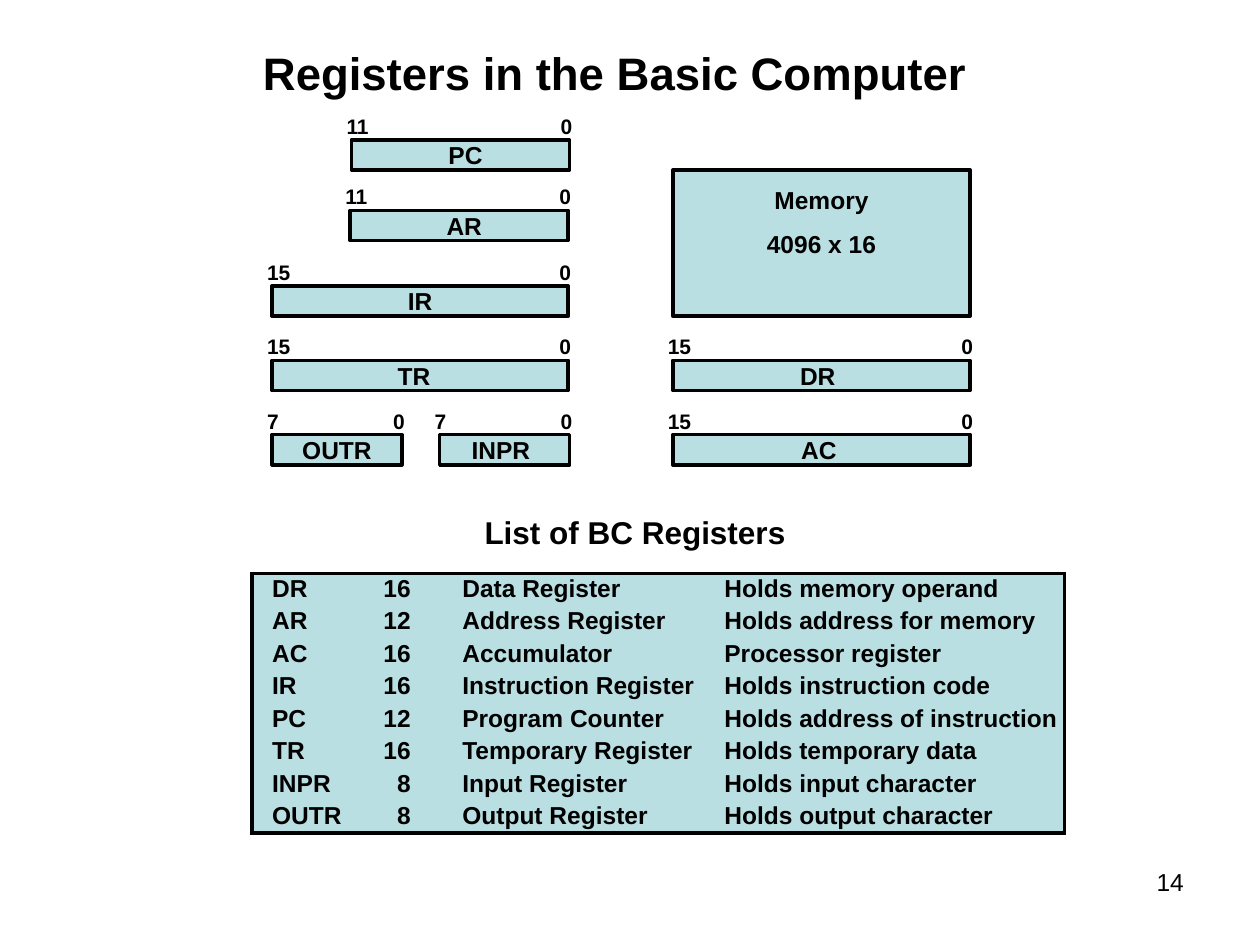
"""Build the slide on the registers of the Basic Computer."""
from lxml import etree
from pptx import Presentation
from pptx.dml.color import RGBColor
from pptx.enum.shapes import MSO_SHAPE
from pptx.enum.text import MSO_ANCHOR, PP_ALIGN
from pptx.oxml.ns import qn
from pptx.util import Inches, Pt

RECT = MSO_SHAPE.RECTANGLE
TOP, MIDDLE = MSO_ANCHOR.TOP, MSO_ANCHOR.MIDDLE
LEFT, CENTER, RIGHT = PP_ALIGN.LEFT, PP_ALIGN.CENTER, PP_ALIGN.RIGHT

COLORS = {"ink": "000000", "box": "BADFE2"}
FONT = "Arial"
TITLE = "Registers in the Basic Computer"
LIST_HEADING = "List of BC Registers"
PAGE = "14"
MEMORY = ["Memory", "4096 x 16"]

# name, high bit, left, row, width, shift of the name from the middle
REGISTERS = [
    ("PC", 11, 2.79, 0, 1.73, 0.04),
    ("AR", 11, 2.78, 1, 1.73, 0.04),
    ("IR", 15, 2.16, 2, 2.35, 0),
    ("TR", 15, 2.16, 3, 2.35, -0.05),
    ("OUTR", 7, 2.16, 4, 1.03, 0),
    ("INPR", 7, 3.49, 4, 1.03, -0.03),
    ("DR", 15, 5.34, 3, 2.36, -0.03),
    ("AC", 15, 5.34, 4, 2.36, -0.02),
]
ROW_TOPS = [1.11, 1.67, 2.27, 2.86, 3.45]
BOX_HEIGHT, LABEL_HEIGHT, LABEL_OVERHANG, ZERO_WIDTH = 0.24, 0.23, 0.04, 0.11

REGISTER_LIST = [
    ("DR", "16", "Data Register", "Holds memory operand"),
    ("AR", "12", "Address Register", "Holds address for memory"),
    ("AC", "16", "Accumulator", "Processor register"),
    ("IR", "16", "Instruction Register", "Holds instruction code"),
    ("PC", "12", "Program Counter", "Holds address of instruction"),
    ("TR", "16", "Temporary Register", "Holds temporary data"),
    ("INPR", "8", "Input Register", "Holds input character"),
    ("OUTR", "8", "Output Register", "Holds output character"),
]
# width, left margin, right margin, alignment
LIST_COLUMNS = [(0.86, 0.16, 0, LEFT), (0.59, 0, 0.19, RIGHT),
                (2.16, 0.22, 0, LEFT), (2.84, 0.14, 0, LEFT)]
LIST_LEFT, LIST_TOP, LIST_HEIGHT = 2, 4.55, 2.06


def color(key):
    return RGBColor.from_string(COLORS[key])


def write(frame, lines, size, align=LEFT, bold=True, anchor=TOP, wrap=False):
    frame.word_wrap = wrap
    frame.vertical_anchor = anchor
    frame.margin_left = frame.margin_right = frame.margin_top = frame.margin_bottom = 0
    frame.text = "\n".join(lines)
    for paragraph in frame.paragraphs:
        paragraph.alignment = align
        font = paragraph.font
        font.name, font.size, font.bold = FONT, Pt(size), bold
        font.color.rgb = color("ink")


def add_text(slide, place, text, size, align=LEFT, bold=True):
    frame = slide.shapes.add_textbox(*map(Inches, place)).text_frame
    write(frame, [text], size, align, bold, wrap=True)
    frame.margin_top = Inches(0.02)
    return frame


def add_box(slide, place, lines, anchor=MIDDLE):
    box = slide.shapes.add_shape(RECT, *map(Inches, place))
    box.shadow.inherit = False
    box.fill.solid()
    box.fill.fore_color.rgb = color("box")
    box.line.color.rgb = color("ink")
    box.line.width = Pt(2.04)
    write(box.text_frame, lines, 14, CENTER, anchor=anchor)
    return box.text_frame


def add_register(slide, name, high_bit, left, row, width, shift):
    top = ROW_TOPS[row]
    label_place = (left - LABEL_OVERHANG, top - LABEL_HEIGHT,
                   width + 2 * LABEL_OVERHANG, LABEL_HEIGHT)
    label = add_text(slide, label_place, f"{high_bit}\t0", 12)
    properties = label.paragraphs[0]._p.get_or_add_pPr()
    tabs = etree.Element(qn("a:tabLst"))
    zero_at = Inches(label_place[2] - ZERO_WIDTH)
    etree.SubElement(tabs, qn("a:tab"), pos=str(zero_at), algn="l")
    properties.insert_element_before(tabs, "a:defRPr", "a:extLst")
    frame = add_box(slide, (left, top, width, BOX_HEIGHT), [name])
    frame.margin_left = Inches(max(0, 2 * shift))
    frame.margin_right = Inches(max(0, -2 * shift))


def set_borders(cell, outer):
    properties = cell._tc.get_or_add_tcPr()
    for side, is_outer in zip("LRTB", outer):
        line = etree.SubElement(properties, qn(f"a:ln{side}"), w=str(Pt(2.25)))
        if is_outer:
            fill = etree.SubElement(line, qn("a:solidFill"))
            etree.SubElement(fill, qn("a:srgbClr"), val=COLORS["ink"])
        else:
            etree.SubElement(line, qn("a:noFill"))


def add_register_list(slide):
    rows, columns = len(REGISTER_LIST), len(LIST_COLUMNS)
    width = sum(column[0] for column in LIST_COLUMNS)
    place = map(Inches, (LIST_LEFT, LIST_TOP, width, LIST_HEIGHT))
    table = slide.shapes.add_table(rows, columns, *place).table
    table.first_row = table.horz_banding = False
    for r, register in enumerate(REGISTER_LIST):
        table.rows[r].height = Inches(LIST_HEIGHT / rows)
        for c, (column_width, left, right, align) in enumerate(LIST_COLUMNS):
            table.columns[c].width = Inches(column_width)
            cell = table.cell(r, c)
            write(cell.text_frame, [register[c]], 14, align, wrap=True)
            cell.text_frame.paragraphs[0].line_spacing = Pt(16.8)
            cell.margin_left, cell.margin_right = Inches(left), Inches(right)
            cell.margin_top = cell.margin_bottom = 0
            set_borders(cell, (c == 0, c == columns - 1, r == 0, r == rows - 1))
            cell.fill.solid()
            cell.fill.fore_color.rgb = color("box")


def main():
    deck = Presentation()
    deck.slide_width, deck.slide_height = Inches(10), Inches(7.5)
    slide = deck.slides.add_slide(deck.slide_layouts[5])
    title = slide.shapes.title
    title.left, title.top, title.width, title.height = map(Inches, (2.07, 0.36, 5.62, 0.46))
    write(title.text_frame, [TITLE], 26, CENTER)
    for register in REGISTERS:
        add_register(slide, *register)
    memory = add_box(slide, (5.34, 1.35, 2.36, 1.16), MEMORY, TOP)
    memory.paragraphs[0].space_before = Pt(10.4)
    for line in memory.paragraphs:
        line.line_spacing = 1.5
    add_text(slide, (3.83, 4.05, 2.42, 0.33), LIST_HEADING, 18, CENTER)
    add_register_list(slide)
    add_text(slide, (9.18, 6.86, 0.27, 0.25), PAGE, 14, bold=False)
    deck.save("out.pptx")


if __name__ == "__main__":
    main()
